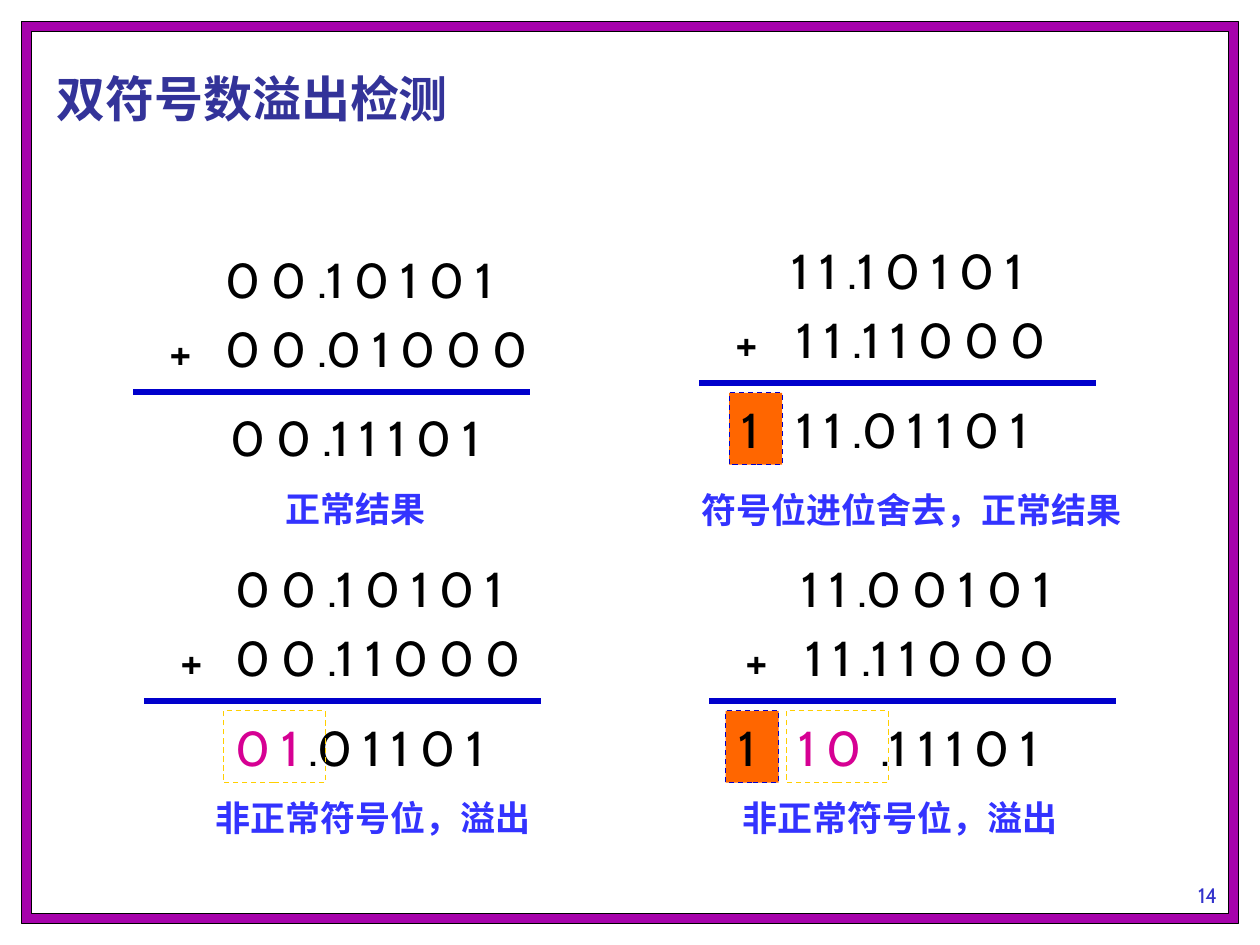
from dataclasses import dataclass

from lxml.etree import SubElement
from pptx import Presentation
from pptx.dml.color import RGBColor
from pptx.enum.dml import MSO_LINE
from pptx.enum.shapes import MSO_CONNECTOR, MSO_SHAPE
from pptx.enum.text import MSO_ANCHOR, PP_ALIGN
from pptx.oxml.ns import qn
from pptx.util import Cm, Pt

SLIDE_WIDTH, SLIDE_HEIGHT = 25.4, 19.05
ROW_HEIGHT = 1.45
DIGITS_WIDTH = 6.9
BLACK, BLUE, MAGENTA, ORANGE, YELLOW = "000000", "0000CC", "D60093", "FF6600", "FFCF01"


@dataclass
class Addition:
    left: float
    top: float
    first: str
    second: str
    result: str
    second_indent: float = 1.6
    result_indent: float = 1.7
    rule_length: float = 8.0
    sign: str = ""
    sign_indent: float = 1.6
    carry: str = ""
    carry_indent: float = 0.6


ADDITIONS = [
    Addition(2.69, 4.9, "0 0 .1 0 1 0 1", "0 0 .0 1 0 0 0", "0 0 .1 1 1 0 1"),
    Addition(2.9, 11.13, "0 0 .1 0 1 0 1", "0 0 .1 1 0 0 0", ".0 1 1 0 1",
             result_indent=3.07, sign="0 1"),
    Addition(14.1, 4.72, "1 1 .1 0 1 0 1", "1 1 .1 1 0 0 0", "1 1 .0 1 1 0 1",
             second_indent=1.7, carry="1"),
    Addition(14.3, 11.13, "1 1 .0 0 1 0 1", "1 1 .1 1 0 0 0", ".1 1 1 0 1",
             second_indent=1.68, result_indent=3.2, rule_length=8.2,
             sign="1 0", sign_indent=1.55, carry="1", carry_indent=0.33),
]

CAPTIONS = [
    (5.51, 9.7, 4.93, "正常结果"),
    (13.89, 9.73, 9.6, "符号位进位舍去，正常结果"),
    (4.09, 15.93, 7.42, "非正常符号位，溢出"),
    (14.71, 15.93, 7.21, "非正常符号位，溢出"),
]


def rgb(value):
    return RGBColor.from_string(value)


def write(box, text, size=28, color=BLACK, font="Cabin", bold=False,
          anchor=MSO_ANCHOR.TOP, align=PP_ALIGN.LEFT):
    frame = box.text_frame
    frame.word_wrap = True
    frame.vertical_anchor = anchor
    para = frame.paragraphs[0]
    para.alignment = align
    span = para.add_run()
    span.text = text
    span.font.name = font
    span.font.size = Pt(size)
    span.font.bold = bold
    span.font.color.rgb = rgb(color)


def add_text(shapes, left, top, width, height, text, **style):
    box = shapes.add_textbox(Cm(left), Cm(top), Cm(width), Cm(height))
    write(box, text, **style)


def add_rectangle(shapes, left, top, width, height, line, fill=None):
    box = shapes.add_shape(MSO_SHAPE.RECTANGLE, Cm(left), Cm(top), Cm(width), Cm(height))
    box.shadow.inherit = False
    if fill:
        box.fill.solid()
        box.fill.fore_color.rgb = rgb(fill)
    else:
        box.fill.background()
    box.line.color.rgb = rgb(line)
    box.line.width = Pt(0.75)
    return box


def add_digit_box(shapes, left, top, width, text, color, line, fill=None):
    box = add_rectangle(shapes, left, top, width, ROW_HEIGHT, line, fill)
    box.line.dash_style = MSO_LINE.DASH
    write(box, text, color=color)


def add_rule(shapes, left, top, length):
    rule = shapes.add_connector(MSO_CONNECTOR.STRAIGHT, Cm(left), Cm(top),
                                Cm(left + length), Cm(top))
    rule.line.color.rgb = rgb(BLUE)
    rule.line.width = Pt(3)
    SubElement(rule._element.spPr, qn("a:effectLst"))


def add_addition(page, item):
    shapes = page.shapes.add_group_shape().shapes
    result_top = item.top + 3.2
    add_rule(shapes, item.left, item.top + 3, item.rule_length)
    rows = [
        (1.6, 0, DIGITS_WIDTH, item.first),
        (0.48, 1.45, 1.07, "+"),
        (item.second_indent, 1.4, DIGITS_WIDTH, item.second),
        (item.result_indent, 3.2, DIGITS_WIDTH + 1.7 - item.result_indent, item.result),
    ]
    for indent, drop, width, text in rows:
        add_text(shapes, item.left + indent, item.top + drop, width, ROW_HEIGHT, text)
    if item.sign:
        add_digit_box(shapes, item.left + item.sign_indent, result_top, 2.06,
                      item.sign, MAGENTA, YELLOW)
    if item.carry:
        add_digit_box(shapes, item.left + item.carry_indent, result_top, 1.07,
                      item.carry, BLACK, BLUE, ORANGE)


def add_frame(page):
    for margin, fill in [(0.43, "A603AB"), (0.64, "FFFFFF")]:
        add_rectangle(page.shapes, margin, margin, SLIDE_WIDTH - 2 * margin,
                      SLIDE_HEIGHT - 2 * margin, BLACK, fill)


def main():
    deck = Presentation()
    deck.slide_width, deck.slide_height = Cm(SLIDE_WIDTH), Cm(SLIDE_HEIGHT)
    page = deck.slides.add_slide(deck.slide_layouts[6])
    add_frame(page)
    add_text(page.shapes, 23.29, 17.15, 2.11, 1.27, "14", size=12, color="3333CC",
             anchor=MSO_ANCHOR.BOTTOM, align=PP_ALIGN.CENTER)
    add_text(page.shapes, 0.89, 0.91, 23.29, 1.78, "双符号数溢出检测",
             color="333399", bold=True, anchor=MSO_ANCHOR.BOTTOM)
    for item in ADDITIONS:
        add_addition(page, item)
    for left, top, width, text in CAPTIONS:
        add_text(page.shapes, left, top, width, 1.12, text, size=20,
                 color="3333FF", font="DejaVu Sans", bold=True)
    deck.save("out.pptx")


if __name__ == "__main__":
    main()
